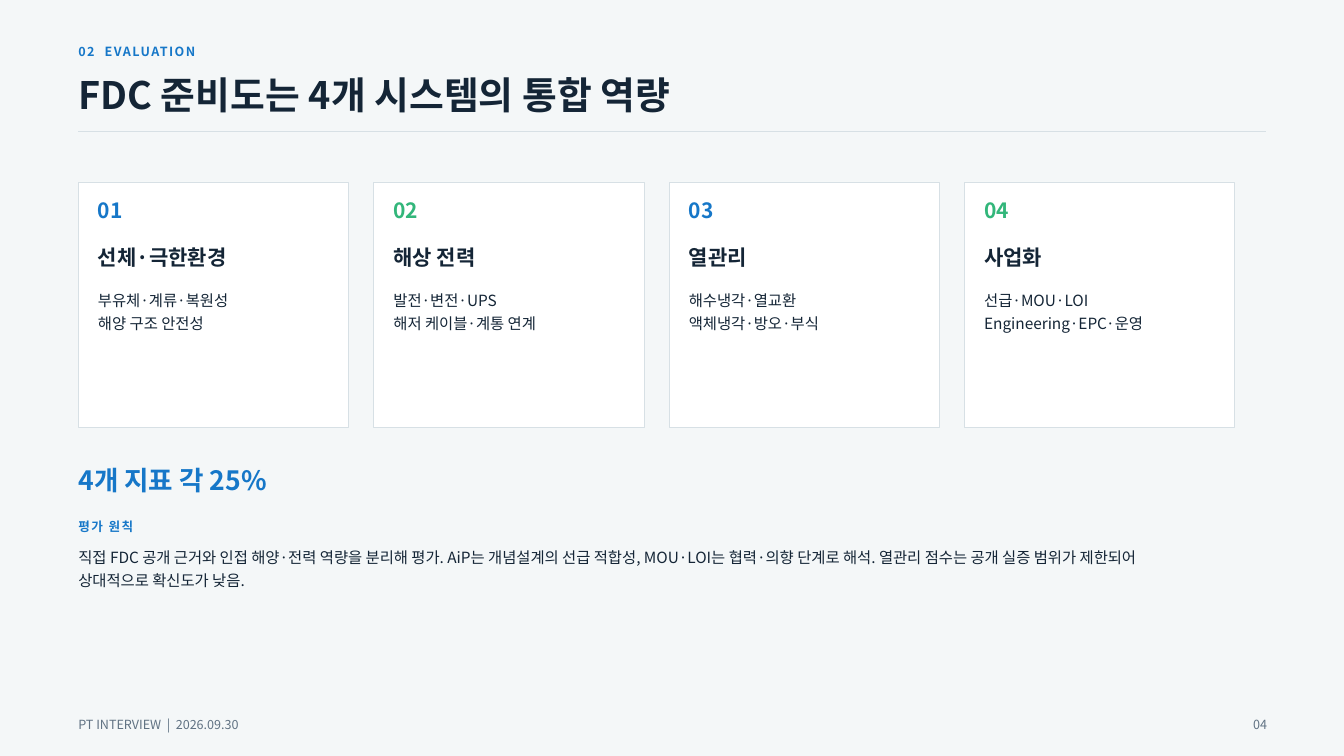
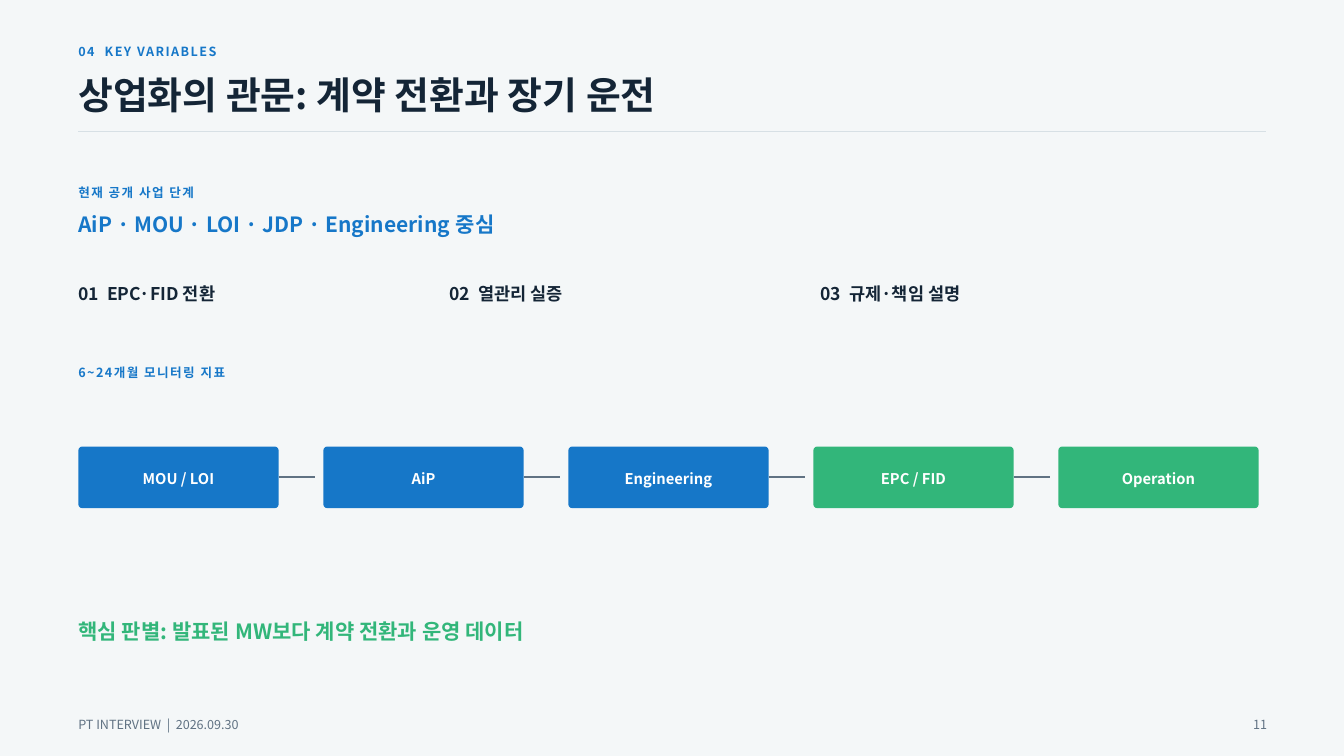
from dataclasses import dataclass

from lxml import etree
from pptx import Presentation
from pptx.dml.color import RGBColor
from pptx.enum.shapes import MSO_CONNECTOR, MSO_SHAPE
from pptx.enum.text import MSO_ANCHOR, MSO_AUTO_SIZE, PP_ALIGN
from pptx.oxml.ns import qn
from pptx.util import Inches, Pt

RECTANGLE, ROUNDED = MSO_SHAPE.RECTANGLE, MSO_SHAPE.ROUNDED_RECTANGLE
STRAIGHT = MSO_CONNECTOR.STRAIGHT
LEFT, CENTER, RIGHT = PP_ALIGN.LEFT, PP_ALIGN.CENTER, PP_ALIGN.RIGHT
GROW, MIDDLE = MSO_AUTO_SIZE.SHAPE_TO_FIT_TEXT, MSO_ANCHOR.MIDDLE

WIDTH, HEIGHT = 20, 11.25
COLUMNS, ROWS = 192, 108
POINTS_PER_ROW = HEIGHT * 72 / ROWS
MARGIN = 11.2


@dataclass(frozen=True)
class Style:
    size: float
    leading: float
    bold: bool = True
    tracking: float = 0


@dataclass(frozen=True)
class Theme:
    font: str = "Noto Sans CJK KR"
    paper: str = "F4F7F8"
    white: str = "FFFFFF"
    ink: str = "142536"
    blue: str = "1677C8"
    green: str = "32B67A"
    slate: str = "607283"
    border: str = "D7E0E5"
    label: Style = Style(13.5, 18.9, tracking=1.6)
    title: Style = Style(40.5, 45.4)
    number: Style = Style(22.5, 22.5)
    heading: Style = Style(22.5, 27)
    figure: Style = Style(28.5, 28.5)
    topic: Style = Style(18.8, 22.5)
    step: Style = Style(15.8, 22)
    body: Style = Style(16.5, 23.9, bold=False)
    footer: Style = Style(13.5, 18.2, bold=False)


THEME = Theme()

CARDS = [
    ("선체·극한환경", ["부유체·계류·복원성", "해양 구조 안전성"]),
    ("해상 전력", ["발전·변전·UPS", "해저 케이블·계통 연계"]),
    ("열관리", ["해수냉각·열교환", "액체냉각·방오·부식"]),
    ("사업화", ["선급·MOU·LOI", "Engineering·EPC·운영"]),
]
PRINCIPLE = (
    "직접 FDC 공개 근거와 인접 해양·전력 역량을 분리해 평가. "
    "AiP는 개념설계의 선급 적합성, MOU·LOI는 협력·의향 단계로 해석. "
    "열관리 점수는 공개 실증 범위가 제한되어 상대적으로 확신도가 낮음."
)
TOPICS = ["01  EPC·FID 전환", "02  열관리 실증", "03  규제·책임 설명"]
STEPS = [
    ("MOU / LOI", THEME.blue),
    ("AiP", THEME.blue),
    ("Engineering", THEME.blue),
    ("EPC / FID", THEME.green),
    ("Operation", THEME.green),
]


def across(columns):
    return Inches(columns * WIDTH / COLUMNS)


def down(rows):
    return Inches(rows * HEIGHT / ROWS)


def color(value):
    return RGBColor.from_string(value)


def apply(target, values):
    for name, value in values.items():
        setattr(target, name, value)


def write(frame, lines, style, ink, align=LEFT, inset=0):
    margins = ("margin_left", "margin_top", "margin_right", "margin_bottom")
    apply(frame, dict.fromkeys(margins, Inches(inset)))
    frame.word_wrap = True
    for index, line in enumerate(lines):
        para = frame.add_paragraph() if index else frame.paragraphs[0]
        apply(para, {"alignment": align, "line_spacing": Pt(style.leading)})
        span = para.add_run()
        span.text = line
        span.font.color.rgb = color(ink)
        apply(span.font, {"name": THEME.font, "size": Pt(style.size), "bold": style.bold})
        properties = span.font._element
        etree.SubElement(properties, qn("a:ea"), typeface=THEME.font)
        if style.tracking:
            properties.set("spc", str(round(style.tracking * 100)))


def add_text(page, left, top, width, lines, style, ink=THEME.ink, align=LEFT, rows=1):
    lines = [lines] if isinstance(lines, str) else lines
    height = max(rows, len(lines)) * style.leading / POINTS_PER_ROW
    box = page.shapes.add_textbox(across(left), down(top), across(width), down(height))
    write(box.text_frame, lines, style, ink, align)
    box.text_frame.auto_size = GROW


def add_panel(page, kind, left, top, width, height, fill, border=None):
    panel = page.shapes.add_shape(kind, across(left), down(top), across(width), down(height))
    panel.shadow.inherit = False
    panel.fill.solid()
    panel.fill.fore_color.rgb = color(fill)
    if border:
        panel.line.color.rgb = color(border)
        panel.line.width = Pt(0.75)
    else:
        panel.line.fill.background()
    return panel


def add_rule(page, left, top, width, ink, weight):
    rule = page.shapes.add_connector(
        STRAIGHT, across(left), down(top), across(left + width), down(top)
    )
    rule.line.color.rgb = color(ink)
    rule.line.width = Pt(weight)
    etree.SubElement(rule._element.spPr, qn("a:effectLst"))


def add_page(deck, section, title, number):
    page = deck.slides.add_slide(deck.slide_layouts[6])
    page.background.fill.solid()
    page.background.fill.fore_color.rgb = color(THEME.paper)
    add_text(page, MARGIN, 5.9, 50, section, THEME.label, THEME.blue)
    add_text(page, MARGIN, 10.6, 150, title, THEME.title)
    add_rule(page, MARGIN, 18.8, COLUMNS - 2 * MARGIN, THEME.border, 1.5)
    add_text(page, MARGIN, 102.1, 60, "PT INTERVIEW  |  2026.09.30", THEME.footer, THEME.slate)
    add_text(page, 174, 102.1, 7, number, THEME.footer, THEME.slate, RIGHT)
    return page


def add_card(page, index, heading, details):
    left, top, pad = MARGIN + index * 42.2, 26, 2.8
    accent = THEME.green if index % 2 else THEME.blue
    add_panel(page, RECTANGLE, left, top, 38.6, 35, THEME.white, THEME.border)
    add_text(page, left + pad, top + 2.8, 7, f"{index + 1:02}", THEME.number, accent)
    add_text(page, left + pad, top + 9, 33, heading, THEME.heading)
    add_text(page, left + pad, top + 15.1, 33, details, THEME.body)


def add_step(page, index, name, fill):
    left, top, width, height, pitch = MARGIN + index * 35, 63.8, 28.6, 8.8, 35
    step = add_panel(page, ROUNDED, left, top, width, height, fill)
    step.adjustments[0] = 0.06
    write(step.text_frame, [name], THEME.step, THEME.white, CENTER, 0.06)
    step.text_frame.vertical_anchor = MIDDLE
    if index < len(STEPS) - 1:
        add_rule(page, left + width, top + height / 2, pitch - width - 1.2, THEME.slate, 2.25)


def build_evaluation(deck):
    page = add_page(deck, "02  EVALUATION", "FDC 준비도는 4개 시스템의 통합 역량", "04")
    for index, (heading, details) in enumerate(CARDS):
        add_card(page, index, heading, details)
    add_text(page, MARGIN, 67.1, 42, "4개 지표 각 25%", THEME.figure, THEME.blue)
    add_text(page, MARGIN, 73.7, 26, "평가 원칙", THEME.label, THEME.blue)
    add_text(page, MARGIN, 77.8, 157, PRINCIPLE, THEME.body, rows=2)


def build_variables(deck):
    page = add_page(deck, "04  KEY VARIABLES", "상업화의 관문: 계약 전환과 장기 운전", "11")
    add_text(page, MARGIN, 26.1, 40, "현재 공개 사업 단계", THEME.label, THEME.blue)
    stages = "AiP · MOU · LOI · JDP · Engineering 중심"
    add_text(page, MARGIN, 30.2, 110, stages, THEME.heading, THEME.blue)
    for index, topic in enumerate(TOPICS):
        add_text(page, MARGIN + index * 53, 40.4, 46, topic, THEME.topic)
    add_text(page, MARGIN, 51.7, 50, "6~24개월 모니터링 지표", THEME.label, THEME.blue)
    for index, (name, fill) in enumerate(STEPS):
        add_step(page, index, name, fill)
    verdict = "핵심 판별: 발표된 MW보다 계약 전환과 운영 데이터"
    add_text(page, MARGIN, 88.4, 120, verdict, THEME.heading, THEME.green)


def main():
    deck = Presentation()
    apply(deck, {"slide_width": Inches(WIDTH), "slide_height": Inches(HEIGHT)})
    build_evaluation(deck)
    build_variables(deck)
    deck.save("out.pptx")


if __name__ == "__main__":
    main()
